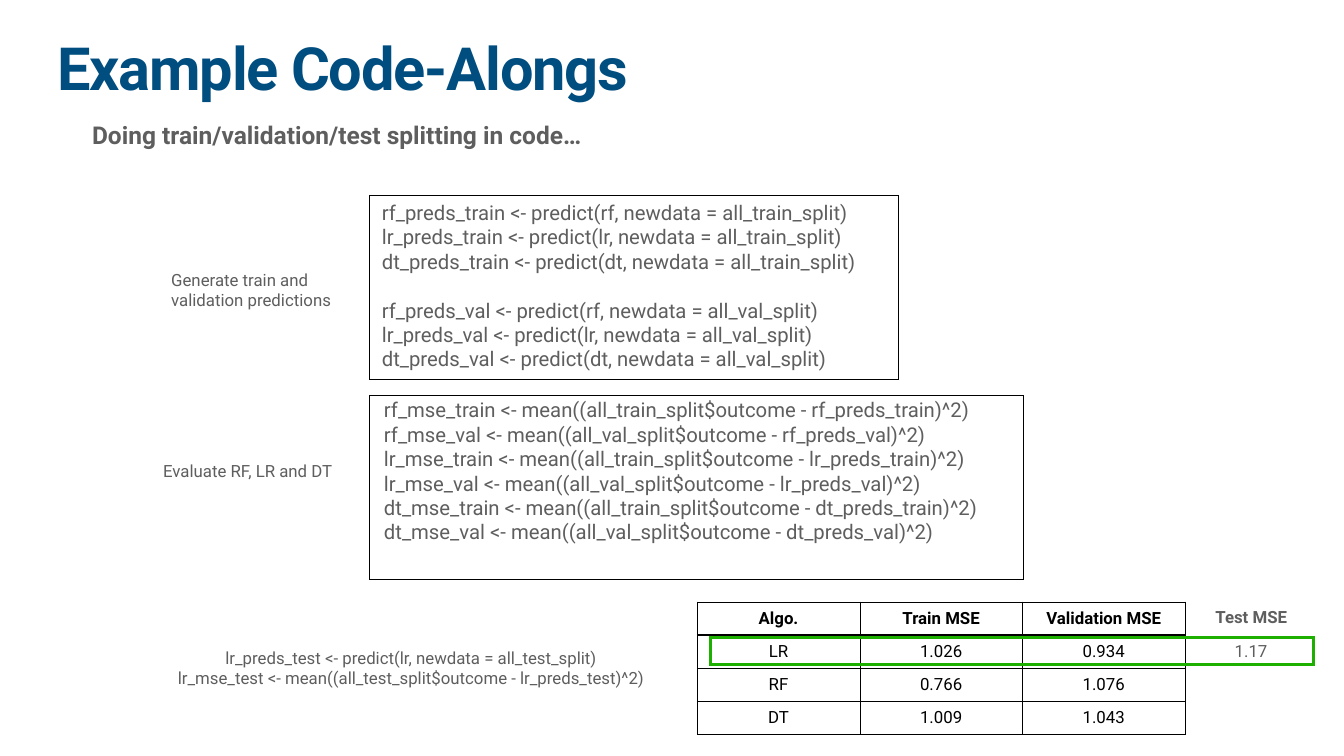
from lxml.etree import SubElement
from pptx import Presentation
from pptx.dml.color import RGBColor
from pptx.enum.shapes import MSO_SHAPE
from pptx.enum.text import MSO_ANCHOR, MSO_AUTO_SIZE, PP_ALIGN
from pptx.oxml import parse_xml
from pptx.oxml.ns import nsdecls, qn
from pptx.util import Pt

NAVY = RGBColor(0x00, 0x4D, 0x80)
GREY = RGBColor(0x5E, 0x5E, 0x5E)
BLACK = RGBColor(0x00, 0x00, 0x00)
GREEN = RGBColor(0x1E, 0xB0, 0x01)
FONT = "Roboto"
INSET = Pt(4)
LEFT, CENTER = PP_ALIGN.LEFT, PP_ALIGN.CENTER


def write(frame, lines, size, color, bold=False, align=LEFT, anchor=MSO_ANCHOR.MIDDLE):
    frame.margin_left = frame.margin_right = INSET
    frame.margin_top = frame.margin_bottom = INSET
    frame.vertical_anchor = anchor
    for index, line in enumerate(lines):
        para = frame.paragraphs[0] if index == 0 else frame.add_paragraph()
        para.alignment = align
        span = para.add_run()
        span.text = line
        span.font.name = FONT
        span.font.size = Pt(size)
        span.font.bold = bold
        span.font.color.rgb = color


def add_text(left, top, width, height, lines, size=24, bold=False, align=LEFT, wrap=False):
    box = page.shapes.add_textbox(Pt(left), Pt(top), Pt(width), Pt(height))
    frame = box.text_frame
    write(frame, lines, size, GREY, bold, align)
    frame.word_wrap = wrap
    frame.auto_size = MSO_AUTO_SIZE.SHAPE_TO_FIT_TEXT
    return frame


deck = Presentation()
deck.slide_width, deck.slide_height = Pt(1920), Pt(1080)
page = deck.slides.add_slide(deck.slide_layouts[5])

title = page.shapes.title
title.left, title.top, title.width, title.height = Pt(78), Pt(60), Pt(1730), Pt(113)
write(title.text_frame, ["Example Code-Alongs"], 85, NAVY, True, anchor=MSO_ANCHOR.TOP)
title.text_frame.auto_size = MSO_AUTO_SIZE.NONE
heading = title.text_frame.paragraphs[0]
heading.line_spacing = 0.8
heading.runs[0].font._element.set("spc", "-170")

add_text(127.5, 167, 1630, 50, ["Doing train/validation/test splitting in code…"], 35, True, wrap=True)
add_text(240.5, 381, 286, 65.5, ["Generate train and validation predictions"], wrap=True)
add_text(229, 654.5, 527, 36, ["Evaluate RF, LR and DT"], wrap=True)

models = ["rf", "lr", "dt"]
splits = ["train", "val"]
predictions = [f"{model}_preds_{split} <- predict({model}, newdata = all_{split}_split)"
               for split in splits for model in models]
errors = [f"{model}_mse_{split} <- mean((all_{split}_split$outcome - {model}_preds_{split})^2)"
          for model in models for split in splits]
prediction_frame = add_text(541.5, 282, 700, 252, predictions, 29)
prediction_frame.paragraphs[len(models)].space_before = Pt(35)
add_text(544.5, 564, 868, 217, errors, 29)

add_text(246, 921, 682, 65.5,
         ["lr_preds_test <- predict(lr, newdata = all_test_split)",
          "lr_mse_test <- mean((all_test_split$outcome - lr_preds_test)^2)"], align=CENTER)

results = [
    ["Algo.", "Train MSE", "Validation MSE"],
    ["LR", "1.026", "0.934"],
    ["RF", "0.766", "1.076"],
    ["DT", "1.009", "1.043"],
]
table = page.shapes.add_table(4, 3, Pt(996), Pt(860), Pt(697), Pt(189.2)).table
table.first_row = table.horz_banding = False
for column in table.columns:
    column.width = Pt(232.3)
for row_index, values in enumerate(results):
    table.rows[row_index].height = Pt(47.3)
    for column_index, value in enumerate(values):
        cell = table.cell(row_index, column_index)
        write(cell.text_frame, [value], 24, BLACK, row_index == 0, CENTER)
        cell.margin_left = cell.margin_right = INSET
        cell.margin_top = cell.margin_bottom = INSET
        cell.vertical_anchor = MSO_ANCHOR.MIDDLE
        properties = cell._tc.get_or_add_tcPr()
        for side in "LRTB":
            heavy = (row_index, side) in [(0, "B"), (1, "T")]
            properties.append(parse_xml(
                f'<a:ln{side} {nsdecls("a")} w="{Pt(3 if heavy else 1)}">'
                f'<a:solidFill><a:srgbClr val="{BLACK}"/></a:solidFill></a:ln{side}>'))
        cell.fill.background()

frames = [
    (528, 279.5, 756, 263, BLACK, 2),
    (528, 565, 934.5, 263, BLACK, 2),
    (1015, 911, 862, 38, GREEN, 4),
]
for left, top, width, height, color, weight in frames:
    outline = page.shapes.add_shape(MSO_SHAPE.RECTANGLE, Pt(left), Pt(top), Pt(width), Pt(height))
    outline.shadow.inherit = False
    outline.fill.background()
    outline.line.color.rgb = color
    outline.line.width = Pt(weight)
    SubElement(outline.line._get_or_add_ln(), qn("a:miter"), lim="400000")

add_text(1729.5, 862.5, 116, 36, ["Test MSE"], bold=True, align=CENTER)
add_text(1759.5, 912, 55.5, 36, ["1.17"], align=CENTER)

deck.save("out.pptx")
